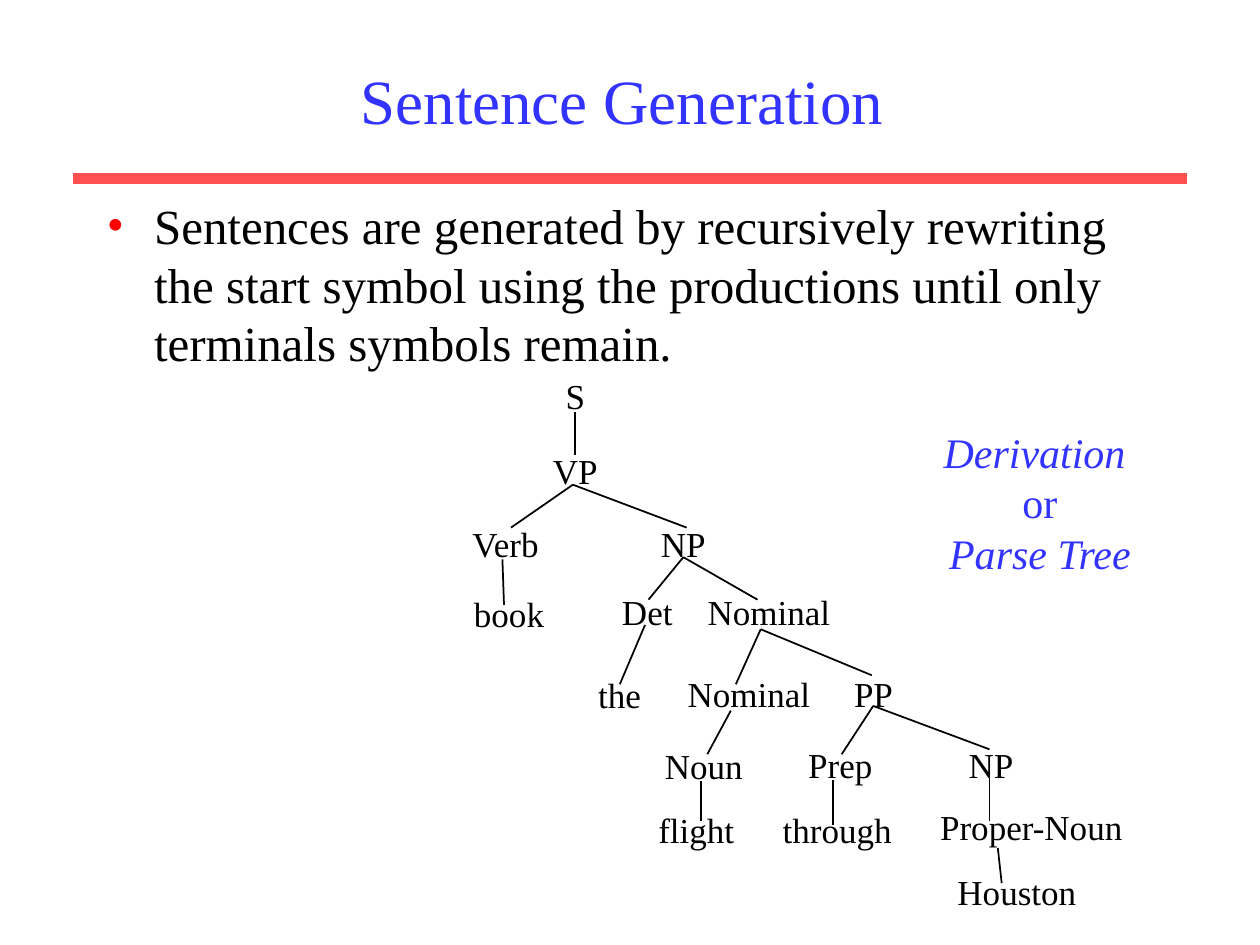
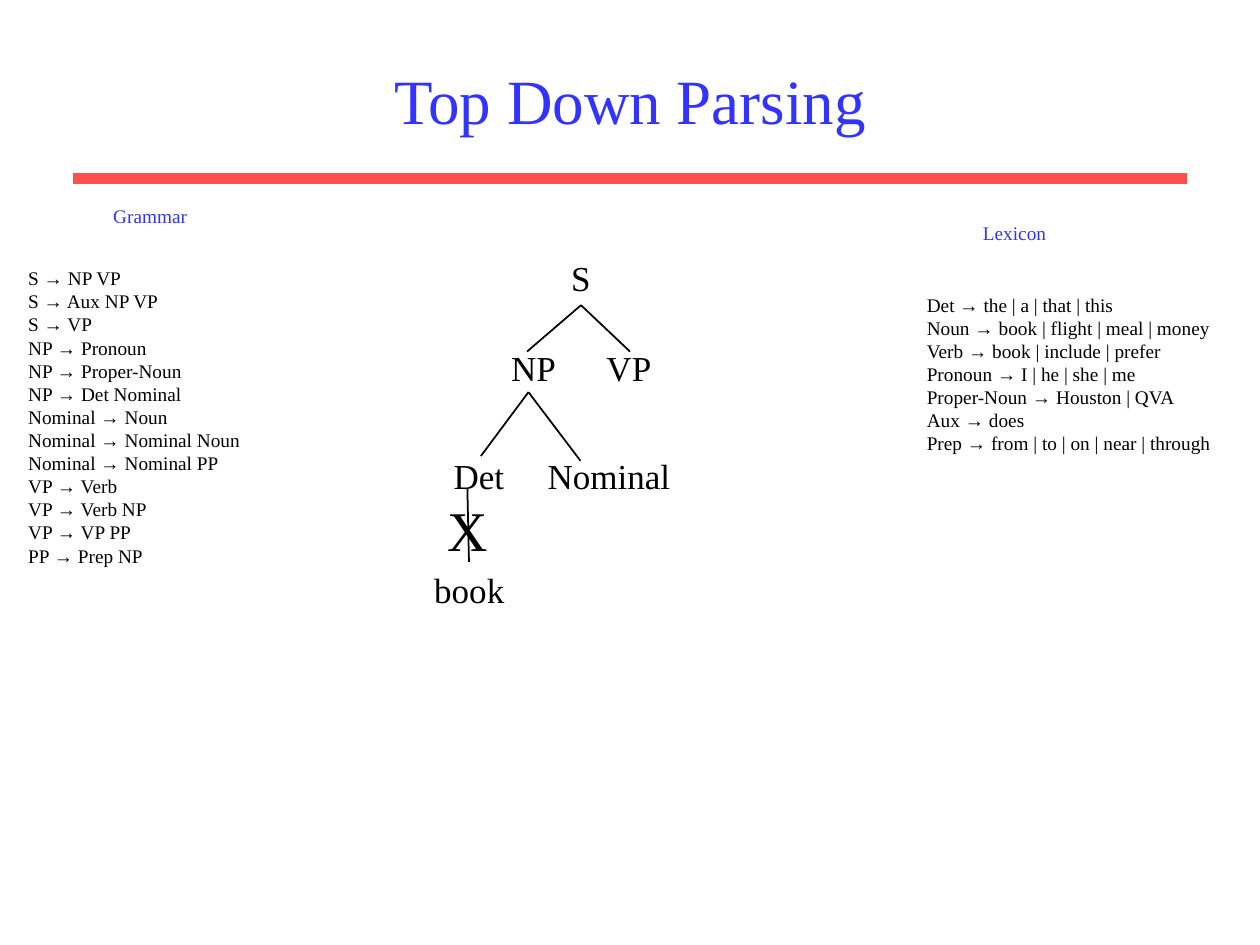
from dataclasses import dataclass
from typing import NamedTuple

import lxml.etree
import pptx
import pptx.dml.color
import pptx.enum.shapes
import pptx.enum.text
import pptx.oxml.ns
import pptx.util

Pt = pptx.util.Pt
ALIGN = pptx.enum.text.PP_ALIGN
AUTO_SIZE = pptx.enum.text.MSO_AUTO_SIZE
TITLE_ONLY = 5


@dataclass(frozen=True)
class Theme:
    font: str = "Times New Roman"
    ink: str = "000000"
    accent: str = "3333FF"
    band: str = "FF5050"
    bullet: str = "FF0000"
    title_size: float = 36
    body_size: float = 28
    cross_size: float = 32
    caption_size: float = 24
    node_size: float = 20
    rule_size: float = 11
    band_width: float = 6
    branch_width: float = 1


THEME = Theme()


class Box(NamedTuple):
    left: float
    top: float
    width: float
    height: float


class Point(NamedTuple):
    x: float
    y: float


class Node(NamedTuple):
    """A tree label, placed by the centre of its text and the top of its box."""
    text: str
    centre: float
    top: float
    width: float
    size: float = THEME.node_size


class Branch(NamedTuple):
    parent: Point
    children: list[Point]


class RuleList(NamedTuple):
    heading: str
    heading_box: Box
    rules: list[str]
    box: Box


TITLE_BOX = Box(54, 18, 612, 78)
BAND = Branch(Point(41.75, 102), [Point(678.25, 102)])
BODY_BOX = Box(54, 108, 612, 110)
BODY_INDENT = 27
BODY_TEXT = ("Sentences are generated by recursively rewriting the start symbol "
             "using the productions until only terminals symbols remain.")
CAPTION_BOX = Box(532, 240.2, 124.5, 93.6)

DERIVATION_NODES = [
    Node("S", 328.8, 210.2, 28),
    Node("VP", 328.8, 253.4, 44),
    Node("Verb", 288.9, 295.2, 56),
    Node("NP", 390.5, 295.2, 44),
    Node("book", 290.9, 334.8, 58),
    Node("Det", 369.9, 334.1, 47),
    Node("Nominal", 439.4, 334.1, 88),
    Node("the", 354, 381.3, 42),
    Node("Nominal", 428, 380.5, 88),
    Node("PP", 499.2, 380.5, 41),
    Node("Noun", 402.2, 421.9, 63),
    Node("Prep", 480.2, 421.2, 55),
    Node("NP", 566.4, 421.2, 44),
    Node("flight", 397.9, 458.2, 61),
    Node("through", 478.4, 458.2, 80),
    Node("Proper-Noun", 589.3, 456.5, 123),
    Node("Houston", 581.1, 493.9, 86),
]
DERIVATION_BRANCHES = [
    Branch(Point(328.5, 235.4), [Point(328.5, 259.9)]),
    Branch(Point(327.4, 277), [Point(292, 301.5), Point(392.4, 301.5)]),
    Branch(Point(287.1, 319.7), [Point(288, 345.6)]),
    Branch(Point(390.5, 318.4), [Point(370.6, 342.7), Point(432.9, 342.7)]),
    Branch(Point(368.6, 357.1), [Point(354.2, 391)]),
    Branch(Point(434.7, 359.6), [Point(420.5, 391), Point(498.2, 385.9)]),
    Branch(Point(417.6, 406.1), [Point(404.2, 431)]),
    Branch(Point(400.5, 446.4), [Point(400.5, 469.4)]),
    Branch(Point(499, 403.4), [Point(481, 431), Point(565.4, 428.2)]),
    Branch(Point(476.1, 445.7), [Point(476.1, 471.6)]),
    Branch(Point(565.5, 444.2), [Point(565.5, 469.4)]),
    Branch(Point(570.2, 484.6), [Point(572.4, 504.7)]),
]

PARSING_NODES = [
    Node("S", 331.9, 143.3, 28),
    Node("NP", 304.9, 194.6, 44),
    Node("VP", 359.4, 194.6, 44),
    Node("Det", 273.7, 255.9, 47),
    Node("Nominal", 348, 255.9, 88),
    Node("book", 268.2, 321.2, 58),
    Node("X", 267.6, 279.4, 41, THEME.cross_size),
]
PARSING_BRANCHES = [
    Branch(Point(332, 174.4), [Point(301.2, 200.9), Point(360, 200.9)]),
    Branch(Point(302, 224.1), [Point(274.8, 260.6), Point(331.7, 263.3)]),
    Branch(Point(267.1, 279.4), [Point(268, 321.1)]),
]

GRAMMAR = RuleList("Grammar", Box(57.6, 113.3, 57, 20.9), [
    "S → NP VP",
    "S → Aux NP VP",
    "S → VP",
    "NP → Pronoun",
    "NP → Proper-Noun",
    "NP → Det Nominal",
    "Nominal → Noun",
    "Nominal → Nominal Noun",
    "Nominal → Nominal PP",
    "VP → Verb",
    "VP → Verb NP",
    "VP → VP PP",
    "PP → Prep NP",
], Box(9, 148.7, 137, 179.3))
LEXICON = RuleList("Lexicon", Box(554.6, 122.7, 50.4, 20.9), [
    "Det → the | a | that | this",
    "Noun → book | flight | meal | money",
    "Verb → book | include | prefer",
    "Pronoun → I | he | she | me",
    "Proper-Noun → Houston | QVA",
    "Aux → does",
    "Prep → from | to | on | near | through",
], Box(522.5, 163.8, 183.6, 100))


def rgb(color: str) -> pptx.dml.color.RGBColor:
    return pptx.dml.color.RGBColor.from_string(color)


def format_text(tf, size: float, color: str, align=ALIGN.LEFT) -> None:
    for p in tf.paragraphs:
        p.alignment = align
        for r in p.runs:
            r.font.name = THEME.font
            r.font.size = Pt(size)
            r.font.color.rgb = rgb(color)


def add_text(slide, box: Box, text: str, size: float, color: str = THEME.ink,
             align=ALIGN.LEFT, wrap: bool = False):
    tf = slide.shapes.add_textbox(*map(Pt, box)).text_frame
    tf.word_wrap = wrap
    tf.auto_size = AUTO_SIZE.SHAPE_TO_FIT_TEXT
    tf.text = text
    format_text(tf, size, color, align)
    return tf


def add_branch(slide, branch: Branch, color: str = THEME.ink,
               width: float = THEME.branch_width) -> None:
    for child in branch.children:
        line = slide.shapes.add_connector(
            pptx.enum.shapes.MSO_CONNECTOR.STRAIGHT,
            *map(Pt, (*branch.parent, *child)))
        line.line.color.rgb = rgb(color)
        line.line.width = Pt(width)
        lxml.etree.SubElement(line._element.spPr, pptx.oxml.ns.qn("a:effectLst"))


def add_tree(slide, nodes: list[Node], branches: list[Branch]) -> None:
    for node in nodes:
        box = Box(node.centre - node.width / 2, node.top, node.width,
                  node.size * 1.2 + 7.2)
        add_text(slide, box, node.text, node.size, align=ALIGN.CENTER)
    for branch in branches:
        add_branch(slide, branch)


def add_rule_list(slide, part: RuleList) -> None:
    add_text(slide, part.heading_box, part.heading, THEME.rule_size, THEME.accent)
    add_text(slide, part.box, "\n".join(part.rules), THEME.rule_size, wrap=True)


def add_bullet(p) -> None:
    pPr = p._p.get_or_add_pPr()
    pPr.set("marL", str(Pt(BODY_INDENT)))
    pPr.set("indent", str(-Pt(BODY_INDENT)))
    qn = pptx.oxml.ns.qn
    bullet_color = lxml.etree.SubElement(pPr, qn("a:buClr"))
    lxml.etree.SubElement(bullet_color, qn("a:srgbClr"), val=THEME.bullet)
    lxml.etree.SubElement(pPr, qn("a:buFont"), typeface=THEME.font)
    lxml.etree.SubElement(pPr, qn("a:buChar"), char="•")


def add_titled_slide(prs, title: str):
    """Add a slide with the shared title style and the band below it."""
    slide = prs.slides.add_slide(prs.slide_layouts[TITLE_ONLY])
    add_branch(slide, BAND, THEME.band, THEME.band_width)
    sp = slide.shapes.title
    sp.left, sp.top, sp.width, sp.height = map(Pt, TITLE_BOX)
    tf = sp.text_frame
    tf.text = title
    tf.auto_size = AUTO_SIZE.NONE
    tf.vertical_anchor = pptx.enum.text.MSO_ANCHOR.MIDDLE
    format_text(tf, THEME.title_size, THEME.accent, ALIGN.CENTER)
    return slide


def build_sentence_generation(prs) -> None:
    slide = add_titled_slide(prs, "Sentence Generation ")
    body = add_text(slide, BODY_BOX, BODY_TEXT, THEME.body_size, wrap=True)
    add_bullet(body.paragraphs[0])
    add_tree(slide, DERIVATION_NODES, DERIVATION_BRANCHES)
    caption = add_text(slide, CAPTION_BOX, "Derivation \nor\nParse Tree",
                       THEME.caption_size, THEME.accent, ALIGN.CENTER)
    for p in caption.paragraphs[::2]:
        p.runs[0].font.italic = True


def build_top_down_parsing(prs) -> None:
    slide = add_titled_slide(prs, "Top Down Parsing")
    add_tree(slide, PARSING_NODES, PARSING_BRANCHES)
    for part in (GRAMMAR, LEXICON):
        add_rule_list(slide, part)


def main() -> None:
    prs = pptx.Presentation()
    prs.slide_width, prs.slide_height = Pt(720), Pt(540)
    build_sentence_generation(prs)
    build_top_down_parsing(prs)
    prs.save("out.pptx")


if __name__ == "__main__":
    main()
